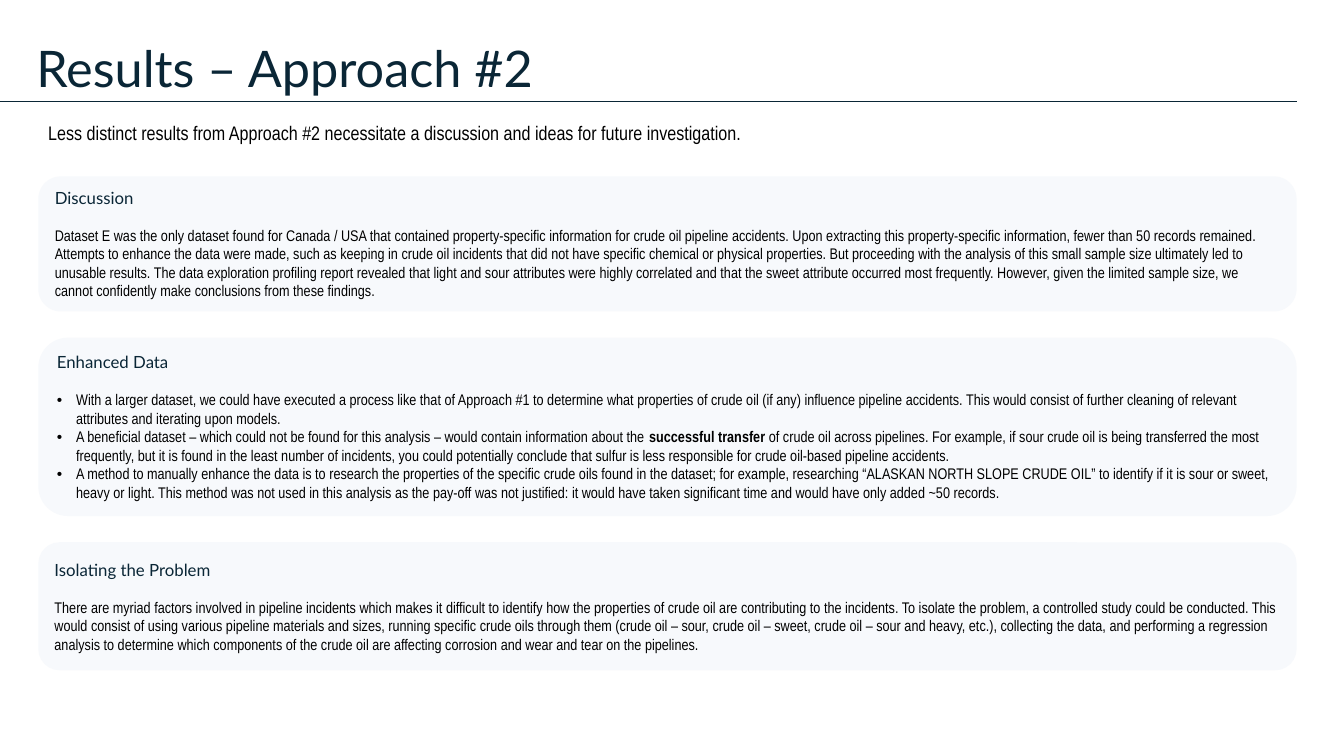
import pptx
import pptx.util
import pptx.dml.color
import pptx.enum.shapes
import pptx.enum.text
import pptx.oxml.ns
from lxml import etree
from pptx.util import Inches

NAVY = "0A2636"
BLACK = "000000"
PANEL = "F7F9FC"
LEFT, WIDTH = 0.38, 12.48
MIDDLE = pptx.enum.text.MSO_ANCHOR.MIDDLE

DISCUSSION = [
    ["Dataset E was the only dataset found for Canada / USA that contained property-specific information for crude oil pipeline accidents. Upon extracting this property-specific information, fewer than 50 records remained. Attempts to enhance the data were made, such as keeping in crude oil incidents that did not have specific chemical or physical properties. But proceeding with the analysis of this small sample size ultimately led to unusable results. The data exploration profiling report revealed that light and sour attributes were highly correlated and that the sweet attribute occurred most frequently. However, given the limited sample size, we cannot confidently make conclusions from these findings."],
]
ENHANCED_DATA = [
    ["With a larger dataset, we could have executed a process like that of Approach #1 to determine what properties of crude oil (if any) influence pipeline accidents. This would consist of further cleaning of relevant attributes and iterating upon models."],
    ["A beneficial dataset – which could not be found for this analysis – would contain information about the ",
     "successful transfer ",
     "of crude oil across pipelines. For example, if sour crude oil is being transferred the most frequently, but it is found in the least number of incidents, you could potentially conclude that sulfur is less responsible for crude oil-based pipeline accidents."],
    ["A method to manually enhance the data is to research the properties of the specific crude oils found in the dataset; for example, researching “ALASKAN NORTH SLOPE CRUDE OIL” to identify if it is sour or sweet, heavy or light. This method was not used in this analysis as the pay-off was not justified: it would have taken significant time and would have only added ~50 records."],
]
ISOLATING = [
    ["There are myriad factors involved in pipeline incidents which makes it difficult to identify how the properties of crude oil are contributing to the incidents. To isolate the problem, a controlled study could be conducted. This would consist of using various pipeline materials and sizes, running specific crude oils through them (crude oil – sour, crude oil – sweet, crude oil – sour and heavy, etc.), collecting the data, and performing a regression analysis to determine which components of the crude oil are affecting corrosion and wear and tear on the pipelines."],
]


def rgb(value):
    return pptx.dml.color.RGBColor.from_string(value)


def add_text(p, text, size=11, font="Arial Narrow", color=BLACK, bold=False):
    p.alignment = pptx.enum.text.PP_ALIGN.LEFT
    r = p.add_run()
    r.text = text
    r.font.size = pptx.util.Pt(size)
    r.font.name = font
    r.font.bold = bold
    r.font.color.rgb = rgb(color)


def add_bullet(p):
    pPr = p._p.get_or_add_pPr()
    pPr.set("marL", str(Inches(0.19)))
    pPr.set("indent", str(Inches(-0.19)))
    etree.SubElement(pPr, pptx.oxml.ns.qn("a:buFont"), typeface="Arial")
    etree.SubElement(pPr, pptx.oxml.ns.qn("a:buChar"), char="•")


def set_title(s, text):
    sp = s.shapes.title
    sp.left, sp.top, sp.width, sp.height = map(Inches, (0.26, 0.33, 12.6, 0.68))
    tf = sp.text_frame
    tf.auto_size = pptx.enum.text.MSO_AUTO_SIZE.NONE
    tf.vertical_anchor = MIDDLE
    add_text(tf.paragraphs[0], text, size=36, font="Lato", color=NAVY)


def add_rule(s, x1, x2, y):
    line = s.shapes.add_connector(
        pptx.enum.shapes.MSO_CONNECTOR.STRAIGHT,
        Inches(x1), Inches(y), Inches(x2), Inches(y))
    line.line.color.rgb = rgb(NAVY)
    line.line.width = pptx.util.Pt(1)
    etree.SubElement(line._element.spPr, pptx.oxml.ns.qn("a:effectLst"))


def add_summary(s, text):
    sp = s.shapes.add_textbox(Inches(LEFT), Inches(1.15), Inches(WIDTH), Inches(0.34))
    tf = sp.text_frame
    tf.word_wrap = True
    tf.auto_size = pptx.enum.text.MSO_AUTO_SIZE.SHAPE_TO_FIT_TEXT
    add_text(tf.paragraphs[0], text, size=14)


def add_panel(s, top, height, heading, body):
    sp = s.shapes.add_shape(
        pptx.enum.shapes.MSO_SHAPE.ROUNDED_RECTANGLE,
        Inches(LEFT), Inches(top), Inches(WIDTH), Inches(height))
    sp.shadow.inherit = False
    sp.fill.solid()
    sp.fill.fore_color.rgb = rgb(PANEL)
    sp.line.fill.background()
    tf = sp.text_frame
    tf.word_wrap = True
    tf.vertical_anchor = MIDDLE
    p = tf.paragraphs[0]
    p.space_after = pptx.util.Pt(13)
    add_text(p, heading, size=12, font="Lato", color=NAVY)
    for runs in body:
        p = tf.add_paragraph()
        if len(body) > 1:
            add_bullet(p)
        for i, text in enumerate(runs):
            add_text(p, text, bold=i == 1)


def main():
    prs = pptx.Presentation()
    prs.slide_width, prs.slide_height = Inches(13.33), Inches(7.5)
    s = prs.slides.add_slide(prs.slide_layouts.get_by_name("Title Only"))
    set_title(s, "Results – Approach #2")
    add_summary(s, "Less distinct results from Approach #2 necessitate a discussion and ideas for future investigation.")
    add_rule(s, -0.09, LEFT + WIDTH, 1.01)

    top, gap = 1.75, 0.26
    for heading, height, body in (
        ("Discussion", 1.34, DISCUSSION),
        ("Enhanced Data", 1.77, ENHANCED_DATA),
        ("Isolating the Problem", 1.27, ISOLATING),
    ):
        add_panel(s, top, height, heading, body)
        top += height + gap
    prs.save("out.pptx")


if __name__ == "__main__":
    main()
